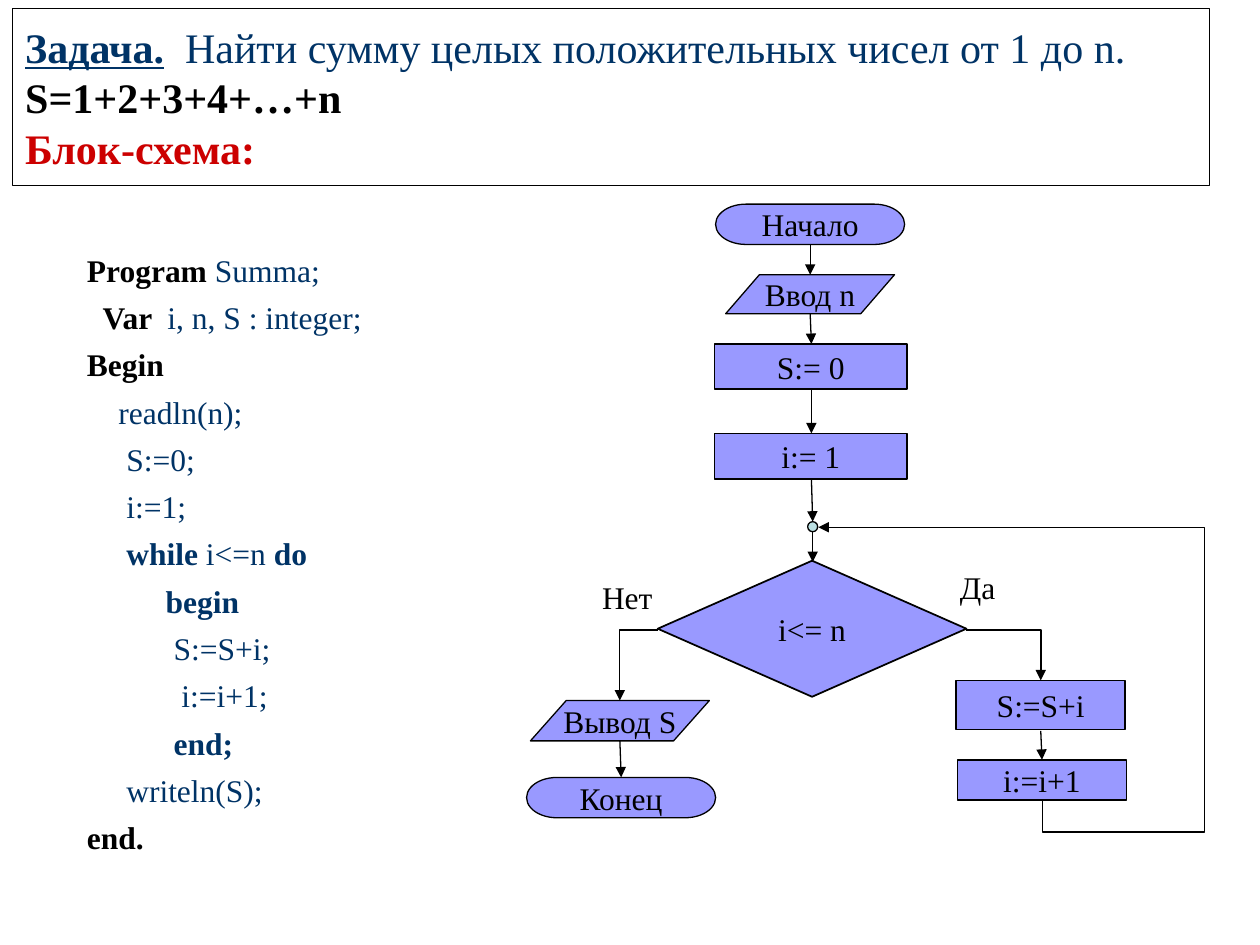
from lxml import etree
from pptx import Presentation
from pptx.dml.color import RGBColor
from pptx.enum.shapes import MSO_CONNECTOR, MSO_SHAPE
from pptx.enum.text import MSO_ANCHOR, MSO_AUTO_SIZE, PP_ALIGN
from pptx.oxml.ns import qn
from pptx.util import Inches, Pt

STRAIGHT, ELBOW = MSO_CONNECTOR.STRAIGHT, MSO_CONNECTOR.ELBOW
PROCESS = MSO_SHAPE.FLOWCHART_PROCESS
DECISION = MSO_SHAPE.FLOWCHART_DECISION
TERMINATOR = MSO_SHAPE.FLOWCHART_TERMINATOR
DATA = MSO_SHAPE.FLOWCHART_DATA
JUNCTION = MSO_SHAPE.FLOWCHART_CONNECTOR
LEFT, CENTER = PP_ALIGN.LEFT, PP_ALIGN.CENTER
MIDDLE, TOP = MSO_ANCHOR.MIDDLE, MSO_ANCHOR.TOP
NO_FIT = MSO_AUTO_SIZE.NONE

BLACK, NAVY, RED = "000000", "003366", "CC0000"
VIOLET, AQUA = "9999FF", "BBE0E3"


def rgb(value):
    return RGBColor.from_string(value)


def add_run(p, text, size=18, color=BLACK, bold=False, underline=False):
    r = p.add_run()
    r.text = text
    r.font.color.rgb = rgb(color)
    style = {"name": "Times New Roman", "size": Pt(size), "bold": bold, "underline": underline}
    for name, value in style.items():
        setattr(r.font, name, value)


prs = Presentation()
prs.slide_width, prs.slide_height = Inches(10), Inches(7.5)
s = prs.slides.add_slide(prs.slide_layouts[1])
title, body = s.placeholders

frames = [(title, (0.1, 0.07, 9.5, 1.4), MIDDLE), (body, (0.59, 1.94, 2.76, 4.96), TOP)]
for sp, box, anchor in frames:
    for name, value in zip(("left", "top", "width", "height"), box):
        setattr(sp, name, Inches(value))
    tf = sp.text_frame
    for name, value in {"auto_size": NO_FIT, "word_wrap": True, "vertical_anchor": anchor}.items():
        setattr(tf, name, value)

title.line.color.rgb = rgb(BLACK)
title.line.width = Pt(0.75)
p = title.text_frame.paragraphs[0]
p.alignment = LEFT
add_run(p, "Задача.", 24, NAVY, True, True)
add_run(p, "  Найти сумму целых положительных чисел от 1 до n.", 24, NAVY)
for text, color in [("S=1+2+3+4+…+n", BLACK), ("Блок-схема:", RED)]:
    p.add_line_break()
    add_run(p, text, 24, color, True)

code = [
    (0, [("Program ", BLACK, True), ("Summa;", NAVY, False)]),
    (2, [("Var ", BLACK, True), (" i, n, S : integer;", NAVY, False)]),
    (0, [("Begin", BLACK, True)]),
    (4, [("readln(n);", NAVY, False)]),
    (5, [("S:=0;", NAVY, False)]),
    (5, [("i:=1;", NAVY, False)]),
    (5, [("while", NAVY, True), (" i<=n ", NAVY, False), ("do", NAVY, True)]),
    (10, [("begin", NAVY, True)]),
    (11, [("S:=S+i;", NAVY, False)]),
    (12, [("i:=i+1;", NAVY, False)]),
    (11, [("end;", NAVY, True)]),
    (5, [("writeln(S);", NAVY, False)]),
    (0, [("end.", BLACK, True)]),
]
tf = body.text_frame
for i, (depth, runs) in enumerate(code):
    p = tf.add_paragraph() if i else tf.paragraphs[0]
    p.space_before = Pt(5.4)
    pPr = p._p.get_or_add_pPr()
    pPr.set("marL", str(Pt(4.5 * depth)))
    pPr.set("indent", "0")
    etree.SubElement(pPr, qn("a:buNone"))
    for text, color, bold in runs:
        add_run(p, text, color=color, bold=bold)

nodes = [
    (TERMINATOR, "Начало", 5.68, 1.62, 1.5, 0.32, 0.75),
    (DATA, "Ввод n", 5.76, 2.18, 1.34, 0.31, 0.75),
    (PROCESS, "S:= 0", 5.67, 2.73, 1.53, 0.36, 1),
    (PROCESS, "i:= 1", 5.67, 3.44, 1.53, 0.36, 1),
    (JUNCTION, "", 6.41, 4.14, 0.08, 0.08, 0.75),
    (DECISION, "i<= n", 5.22, 4.45, 2.45, 1.08, 1),
    (PROCESS, "S:=S+i", 7.59, 5.4, 1.34, 0.39, 1),
    (PROCESS, "i:=i+1", 7.6, 6.03, 1.34, 0.32, 1),
    (DATA, "Вывод S", 4.21, 5.56, 1.42, 0.32, 0.75),
    (TERMINATOR, "Конец", 4.18, 6.17, 1.5, 0.32, 0.75),
]
for kind, text, x, y, w, h, weight in nodes:
    sp = s.shapes.add_shape(kind, Inches(x), Inches(y), Inches(w), Inches(h))
    sp.shadow.inherit = False
    sp.fill.solid()
    sp.fill.fore_color.rgb = rgb(VIOLET if text else AQUA)
    sp.line.color.rgb = rgb(BLACK)
    sp.line.width = Pt(weight)
    if text:
        tf = sp.text_frame
        tf.word_wrap = False
        tf.vertical_anchor = MIDDLE
        p = tf.paragraphs[0]
        p.alignment = CENTER
        add_run(p, text)

for text, x, y in [("Нет", 4.68, 4.54), ("Да", 7.52, 4.46)]:
    tf = s.shapes.add_textbox(Inches(x), Inches(y), Inches(1.5), Inches(0.4)).text_frame
    tf.word_wrap = True
    add_run(tf.paragraphs[0], text)

arrows = [
    (6.43, 1.94, 6.43, 2.18, None, 0.75),
    (6.43, 2.49, 6.44, 2.73, None, 0.75),
    (6.44, 3.08, 6.44, 3.44, None, 0.75),
    (6.44, 3.8, 6.45, 4.14, None, 0.75),
    (6.45, 4.22, 6.45, 4.46, None, 0.75),
    (8.26, 5.8, 8.27, 6.03, None, 0.75),
    (4.92, 5.88, 4.93, 6.17, None, 0.75),
    (5.22, 5, 4.92, 5.56, "bentConnector2", 0.75),
    (7.67, 5, 8.26, 5.4, "bentConnector2", 1),
    (6.3, 4.38, 8.47, 6.16, "bentConnector4", 0.75),
]
for x1, y1, x2, y2, bend, weight in arrows:
    kind = ELBOW if bend else STRAIGHT
    c = s.shapes.add_connector(kind, Inches(x1), Inches(y1), Inches(x2), Inches(y2))
    c.line.color.rgb = rgb(BLACK)
    c.line.width = Pt(weight)
    etree.SubElement(c.line._get_or_add_ln(), qn("a:tailEnd"), type="triangle")
    spPr = c._element.spPr
    etree.SubElement(spPr, qn("a:effectLst"))
    if bend:
        spPr.find(qn("a:prstGeom")).set("prst", bend)

xfrm = spPr.find(qn("a:xfrm"))
xfrm.set("rot", str(270 * 60000))
xfrm.set("flipV", "1")
guides = spPr.find(qn("a:prstGeom")).find(qn("a:avLst"))
for name, value in {"adj1": -11500, "adj2": -72100}.items():
    etree.SubElement(guides, qn("a:gd"), name=name, fmla=f"val {value}")

prs.save("out.pptx")
